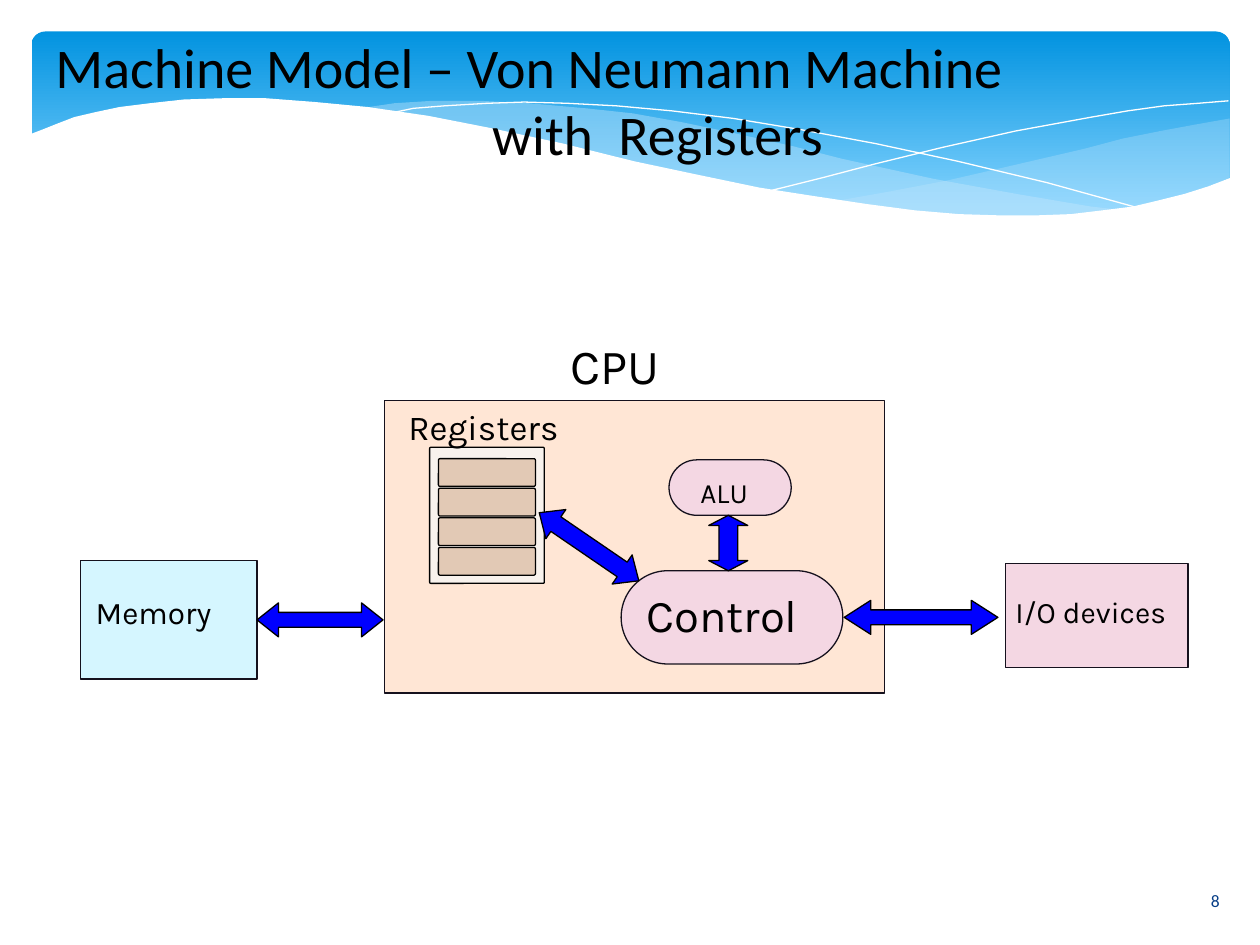
from dataclasses import dataclass
from math import atan2, degrees, hypot

from lxml.etree import SubElement
from pptx import Presentation
from pptx.dml.color import RGBColor
from pptx.enum.shapes import MSO_SHAPE as Preset
from pptx.enum.text import MSO_ANCHOR as Anchor, PP_ALIGN as Align
from pptx.oxml.ns import qn
from pptx.util import Inches, Pt

COLORS = {
    "sky": "0293E0", "pale_sky": "83D3FE", "mist": "C6E7FC", "white": "FFFFFF",
    "navy": "073E87", "black": "000000", "ink": "15111D", "peach": "FFE6D5",
    "cyan": "D5F6FF", "pink": "F4D7E3", "cream": "F8F2ED", "tan": "E2C9B5",
    "blue": "0000FF",
}

RIGHT_WAVE = [
    (9.76, 0.94), (9.48, 0.99), (9.21, 1.04), (8.91, 1.1), (8.61, 1.18),
    (8.05, 1.31), (7.53, 1.43), (7.06, 1.52), (6.61, 1.6), (6.91, 1.64),
    (7.19, 1.67), (7.45, 1.69), (7.81, 1.72), (8.24, 1.72), (8.54, 1.7),
    (8.81, 1.67), (9.05, 1.63), (9.28, 1.58), (9.49, 1.52), (9.76, 1.41),
]
MIDDLE_WAVE = [
    (8.93, 1.67), (8.66, 1.64), (8.07, 1.54), (7.41, 1.42), (6.68, 1.26),
    (6.29, 1.16), (5.84, 1.06), (5.41, 0.97), (5.02, 0.9), (4.65, 0.86),
    (4.2, 0.82), (3.8, 0.8), (3.44, 0.8), (3.13, 0.82), (2.86, 0.86),
    (3.23, 0.9), (3.62, 0.97), (4.04, 1.06), (4.49, 1.16), (5.3, 1.35),
    (5.84, 1.46), (6.34, 1.56), (6.8, 1.63), (7.22, 1.68), (7.61, 1.71),
    (7.96, 1.73), (8.28, 1.73), (8.57, 1.71),
]
FALLING_LINE = [
    (3.09, 0.9), (3.28, 0.86), (3.53, 0.84), (3.87, 0.82), (4.16, 0.81),
    (4.5, 0.82), (4.89, 0.84), (5.33, 0.88), (5.82, 0.94), (6.36, 1.03),
    (6.95, 1.14), (7.6, 1.28), (8.31, 1.45), (9.07, 1.66),
]
RISING_LINE = [
    (6.13, 1.51), (6.53, 1.41), (6.95, 1.3), (7.48, 1.17), (8.06, 1.04),
    (8.66, 0.93), (8.95, 0.88), (9.24, 0.84), (9.51, 0.82), (9.75, 0.8),
]
WHITE_WAVE = [
    (9.77, 1.41), (9.59, 1.48), (9.4, 1.54), (9.2, 1.59), (8.99, 1.64),
    (8.75, 1.67), (8.5, 1.7), (8.23, 1.71), (7.93, 1.71), (7.61, 1.7),
    (7.26, 1.67), (6.88, 1.62), (6.48, 1.56), (6.03, 1.49), (5.55, 1.39),
    (5.03, 1.28), (4.47, 1.14), (3.91, 1.02), (3.4, 0.92), (2.92, 0.85),
    (2.5, 0.81), (2.11, 0.78), (1.77, 0.78), (1.46, 0.79), (1.19, 0.82),
    (0.95, 0.85), (0.76, 0.89), (0.59, 0.93), (0.46, 0.98), (0.36, 1.02),
    (0.23, 1.07), (0.23, 2.24), (9.77, 2.24),
]


@dataclass
class Box:
    """A rectangle on the page, in inches."""
    left: float
    top: float
    width: float
    height: float

    def inner(self, dx, dy, width, height):
        """Return a box placed relative to this one's corner."""
        return Box(self.left + dx, self.top + dy, width, height)

    def lengths(self):
        """Return the four lengths for python-pptx."""
        return [Inches(v) for v in (self.left, self.top, self.width, self.height)]


def color(name):
    """Look up a named colour."""
    return RGBColor.from_string(COLORS[name])


def paint(shape, fill=None, line=None, opacity=None):
    """Set the fill and hairline of a shape and drop its shadow."""
    shape.shadow.inherit = False
    if fill:
        shape.fill.solid()
        shape.fill.fore_color.rgb = color(fill)
    else:
        shape.fill.background()
    if line:
        shape.line.color.rgb = color(line)
        shape.line.width = Pt(0)
    else:
        shape.line.fill.background()
    if opacity:
        tone = shape._element.spPr.find(qn("a:solidFill"))[0]
        SubElement(tone, qn("a:alpha"), val=str(opacity * 1000))
    return shape


def add_block(page, box, fill, line="ink", preset=Preset.RECTANGLE, corner=None):
    """Draw a preset shape in a box."""
    shape = page.shapes.add_shape(preset, *box.lengths())
    if corner is not None:
        shape.adjustments[0] = corner
    return paint(shape, fill, line)


def add_outline(page, box, points, closed=True, **style):
    """Draw a freeform whose points are relative to a box."""
    spots = [(Inches(box.left + x), Inches(box.top + y)) for x, y in points]
    builder = page.shapes.build_freeform(*spots[0])
    builder.add_line_segments(spots[1:], close=closed)
    return paint(builder.convert_to_shape(), **style)


def write(para, text, size, font="Karla", ink="black", align=Align.LEFT):
    """Put formatted text in a paragraph."""
    para.alignment = align
    span = para.add_run()
    span.text = text
    span.font.size = Pt(size)
    span.font.name = font
    span.font.color.rgb = color(ink)


def clear_margins(frame):
    """Remove the inner margins of a text frame."""
    frame.margin_left = frame.margin_right = 0
    frame.margin_top = frame.margin_bottom = 0


def add_label(page, box, text, size, anchor=Anchor.TOP, **style):
    """Add a text box holding one line."""
    frame = page.shapes.add_textbox(*box.lengths()).text_frame
    frame.word_wrap = True
    frame.vertical_anchor = anchor
    clear_margins(frame)
    write(frame.paragraphs[0], text, size, **style)


def add_double_arrow(page, box, start, end, breadth, shaft, head):
    """Draw a two-headed block arrow between points relative to a box."""
    (x1, y1), (x2, y2) = start, end
    length = hypot(x2 - x1, y2 - y1)
    place = box.inner((x1 + x2 - length) / 2, (y1 + y2 - breadth) / 2, length, breadth)
    arrow = add_block(page, place, "blue", "black", Preset.LEFT_RIGHT_ARROW, shaft)
    arrow.adjustments[1] = head
    arrow.rotation = degrees(atan2(y2 - y1, x2 - x1))


def draw_banner(page, box):
    """Draw the blue banner with its waves."""
    panel = add_block(page, box.inner(0.25, 0.25, 9.51, 1.56), None, None,
                      Preset.ROUNDED_RECTANGLE, 0.07)
    panel.fill.gradient()
    panel.fill.gradient_angle = 270
    stops = panel.fill.gradient_stops
    for stop, name, position in zip(stops, ("sky", "pale_sky"), (0, 0.9)):
        stop.color.rgb = color(name)
        stop.position = position
    add_outline(page, box, RIGHT_WAVE, fill="mist", opacity=29)
    add_outline(page, box, MIDDLE_WAVE, fill="mist", opacity=40)
    for curve in (FALLING_LINE, RISING_LINE):
        add_outline(page, box, curve, closed=False, line="white")
    add_outline(page, box, WHITE_WAVE, fill="white")


def place_title(page, box):
    """Fill the title placeholder and bring it in front of the banner."""
    title = page.shapes.title
    title.left, title.top, title.width, title.height = box.lengths()
    frame = title.text_frame
    frame.vertical_anchor = Anchor.MIDDLE
    clear_margins(frame)
    first, second = frame.paragraphs[0], frame.add_paragraph()
    first._p.get_or_add_pPr().set("marL", str(Inches(0.44)))
    write(first, "Machine Model – Von Neumann Machine", 32, font="Calibri")
    write(second, "with  Registers", 32, font="Calibri", align=Align.CENTER)
    title._element.getparent().append(title._element)


def draw_registers(page, box):
    """Draw the register file with four equal slots."""
    add_block(page, box, "cream", "black", Preset.ROUNDED_RECTANGLE, 0.01)
    pitch = 0.94 / 4
    for row in range(4):
        add_block(page, box.inner(0.07, 0.09 + row * pitch, 0.77, 0.22), "tan",
                  "black", Preset.ROUNDED_RECTANGLE, 0.06)


def draw_cpu(page, box):
    """Draw the CPU with its registers, ALU and control unit."""
    add_block(page, box, "peach")
    add_label(page, box.inner(1.48, -0.52, 1.2, 0.53), "CPU", 28)
    pill = {"preset": Preset.ROUNDED_RECTANGLE, "corner": 0.5}
    add_block(page, box.inner(1.88, 1.35, 1.76, 0.74), "pink", **pill)
    add_label(page, box.inner(2.08, 1.48, 1.54, 0.48), "Control", 26)
    add_block(page, box.inner(2.26, 0.47, 0.97, 0.44), "pink", **pill)
    add_label(page, box.inner(2.51, 0.59, 0.66, 0.32), "ALU", 16)
    draw_registers(page, box.inner(0.36, 0.37, 0.91, 1.08))
    add_label(page, box.inner(0.19, 0.04, 1.51, 0.37), "Registers", 20)
    add_double_arrow(page, box, (2.73, 0.91), (2.73, 1.35), 0.31, 0.48, 0.26)
    add_double_arrow(page, box, (1.23, 0.89), (2.02, 1.43), 0.28, 0.5, 0.57)


def draw_machine(page, box):
    """Draw memory, CPU and devices with the links between them."""
    draw_cpu(page, box.inner(2.41, 0.52, 3.97, 2.32))
    add_block(page, box.inner(0, 1.79, 1.4, 0.94), "cyan")
    add_label(page, box.inner(0.12, 2.05, 1.2, 0.34), "Memory", 18)
    add_block(page, box.inner(7.34, 1.81, 1.45, 0.83), "pink")
    add_label(page, box.inner(7.42, 2.05, 1.34, 0.29), "I/O devices", 17)
    add_double_arrow(page, box, (1.4, 2.26), (2.4, 2.26), 0.27, 0.44, 0.63)
    add_double_arrow(page, box, (6.06, 2.24), (7.28, 2.24), 0.27, 0.44, 0.78)


def main():
    """Build and save the deck."""
    deck = Presentation()
    deck.slide_width, deck.slide_height = Inches(10), Inches(7.5)
    page = deck.slides.add_slide(deck.slide_layouts[5])
    draw_banner(page, Box(0, 0, 10, 2.24))
    place_title(page, Box(0, 0.25, 10, 1.08))
    draw_machine(page, Box(0.64, 2.66, 8.79, 2.84))
    add_label(page, Box(9.34, 6.95, 0.61, 0.4), "8", 10, anchor=Anchor.MIDDLE,
              font="Calibri", ink="navy", align=Align.CENTER)
    deck.save("out.pptx")


if __name__ == "__main__":
    main()
